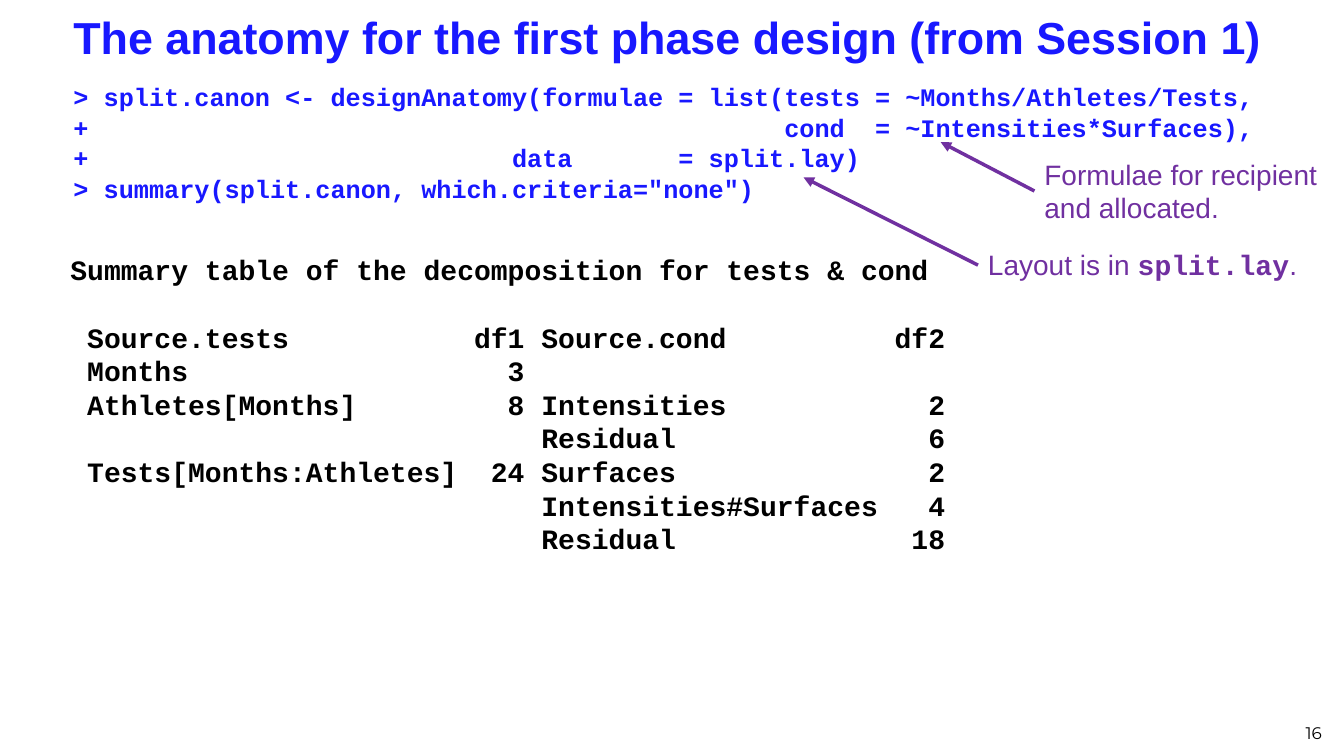
"""Build the slide on the anatomy of the first phase design."""
from pptx import Presentation
from pptx.dml.color import RGBColor
from pptx.enum.shapes import MSO_CONNECTOR
from pptx.enum.text import MSO_ANCHOR, MSO_AUTO_SIZE, PP_ALIGN
from pptx.oxml.ns import qn
from pptx.util import Pt
from lxml import etree

STRAIGHT = MSO_CONNECTOR.STRAIGHT
TOP, MIDDLE, BOTTOM = MSO_ANCHOR.TOP, MSO_ANCHOR.MIDDLE, MSO_ANCHOR.BOTTOM
LEFT, RIGHT = PP_ALIGN.LEFT, PP_ALIGN.RIGHT
GROW, FIXED = MSO_AUTO_SIZE.SHAPE_TO_FIT_TEXT, MSO_AUTO_SIZE.NONE
PX = 9144
LEFT_SIDE = 1

THEME = {
    "blue": RGBColor(0x18, 0x18, 0xFF),
    "black": RGBColor(0, 0, 0),
    "purple": RGBColor(0x70, 0x30, 0xA0),
    "sans": "Arial",
    "mono": "Courier New",
    "number": "Montserrat",
    "title_size": 32,
    "code_size": 18,
    "body_size": 20,
    "number_size": 12,
}

presentation = Presentation()
presentation.slide_width = 1333 * PX
presentation.slide_height = 750 * PX
slide = presentation.slides.add_slide(presentation.slide_layouts[6])


def add_text(lines, box, *, size, color, font=THEME["sans"], bold=False,
             anchor=TOP, align=LEFT, auto_size=FIXED, pitch=None):
    shape = slide.shapes.add_textbox(*(length * PX for length in box))
    frame = shape.text_frame
    frame.word_wrap = True
    frame.auto_size = auto_size
    frame.vertical_anchor = anchor
    for index, line in enumerate(lines):
        paragraph = frame.paragraphs[0] if index == 0 else frame.add_paragraph()
        paragraph.alignment = align
        if pitch:
            paragraph.line_spacing = Pt(pitch)
        pieces = [(line, font, bold)] if isinstance(line, str) else line
        for text, name, is_bold in pieces:
            run = paragraph.add_run()
            run.text = text
            run.font.name = name
            run.font.size = Pt(size)
            run.font.bold = is_bold
            run.font.color.rgb = color
    return shape


add_text(["The anatomy for the first phase design (from Session 1)"],
         (63, -3, 1260, 79), size=THEME["title_size"], color=THEME["blue"],
         bold=True, anchor=MIDDLE)

code_lines = [
    "> split.canon <- designAnatomy(formulae = list(tests = ~Months/Athletes/Tests,",
    "+                                              cond  = ~Intensities*Surfaces),",
    "+                            data       = split.lay)",
    '> summary(split.canon, which.criteria="none")',
]
add_text(code_lines, (63, 76, 1260, 136), size=THEME["code_size"],
         color=THEME["blue"], font=THEME["mono"], bold=True, pitch=21.7)

add_text(["16"], (1010, 692, 311, 50), size=THEME["number_size"],
         color=THEME["black"], font=THEME["number"], anchor=BOTTOM, align=RIGHT)

summary_lines = [
    "Summary table of the decomposition for tests & cond",
    " Source.tests           df1 Source.cond          df2",
    " Months                   3",
    " Athletes[Months]         8 Intensities            2",
    "                            Residual               6",
    " Tests[Months:Athletes]  24 Surfaces               2",
    "                            Intensities#Surfaces   4",
    "                            Residual              18",
]
summary = add_text(summary_lines, (60, 246, 1260, 315), size=THEME["body_size"],
                   color=THEME["black"], font=THEME["mono"], bold=True, pitch=24)
summary.text_frame.paragraphs[1].space_before = Pt(24)

layout_line = [("Layout is in ", THEME["sans"], False),
               ("split.lay", THEME["mono"], True),
               (".", THEME["sans"], False)]
callouts = [
    ([layout_line], (970, 241, 341, 44), (797, 176)),
    (["Formulae for recipient and allocated."], (1026, 151, 312, 77), (933, 141)),
]
for lines, box, (tip_x, tip_y) in callouts:
    note = add_text(lines, box, size=THEME["body_size"], color=THEME["purple"],
                    auto_size=GROW)
    arrow = slide.shapes.add_connector(STRAIGHT, note.left, note.top,
                                       tip_x * PX, tip_y * PX)
    arrow.begin_connect(note, LEFT_SIDE)
    arrow.line.color.rgb = THEME["purple"]
    arrow.line.width = Pt(2.5)
    etree.SubElement(arrow.line._get_or_add_ln(), qn("a:tailEnd"), type="triangle")
    etree.SubElement(arrow._element.spPr, qn("a:effectLst"))

presentation.save("out.pptx")
